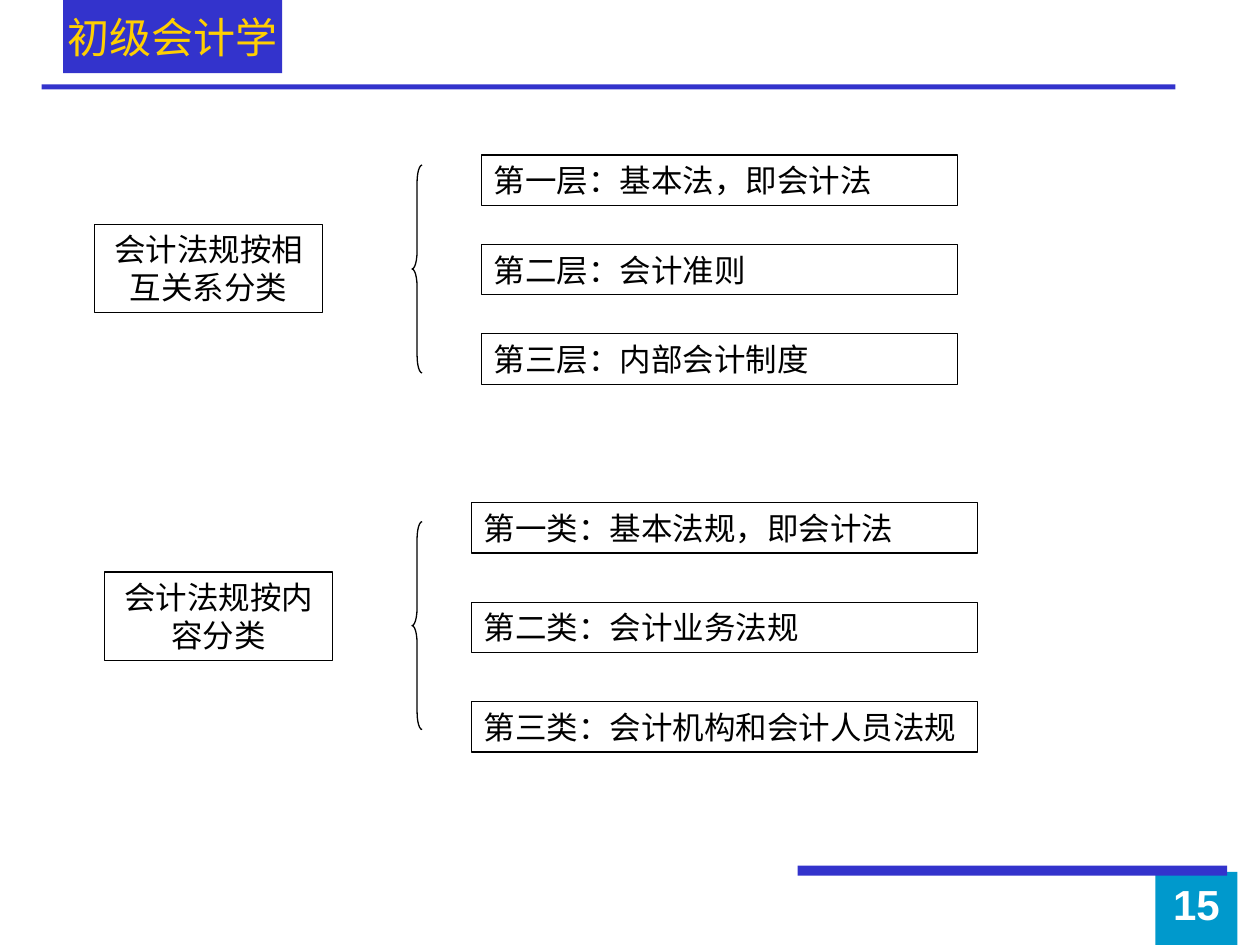
from pptx import Presentation
from pptx.dml.color import RGBColor
from pptx.enum.shapes import MSO_SHAPE as Preset
from pptx.enum.text import MSO_ANCHOR as Anchor, MSO_AUTO_SIZE as AutoSize, PP_ALIGN as Align
from pptx.oxml.ns import qn
from pptx.util import Inches, Pt

WIDTH, HEIGHT = 10, 7.5
COLORS = {"bar": "3333CC", "number": "0099CC", "title": "FFCF01",
          "ink": "000000", "paper": "FFFFFF"}
TITLE_FONT, BODY_FONT, NUMBER_FONT = "Noto Sans CJK SC", "Karla", "Arial"
ROW_HEIGHT = 0.4
BRACE_WIDTH, BRACE_HEIGHT = 0.08, 1.65


def color(name):
    return RGBColor.from_string(COLORS[name])


def place(shape, left, top, width, height):
    shape.left, shape.top = Inches(left), Inches(top)
    shape.width, shape.height = Inches(width), Inches(height)


def add_preset(page, preset, area, fill=None, line=None):
    shape = page.shapes.add_shape(preset, *map(Inches, area))
    shape.shadow.inherit = False
    if fill:
        shape.fill.solid()
        shape.fill.fore_color.rgb = color(fill)
    else:
        shape.fill.background()
    if line:
        shape.line.color.rgb = color(line)
        shape.line.width = Pt(0.75)
    else:
        shape.line.fill.background()
    return shape


def write(shape, text, font, size, ink, align=Align.LEFT, anchor=Anchor.TOP,
          side_inset=0.1, bold=False):
    frame = shape.text_frame
    frame.auto_size = AutoSize.NONE
    frame.word_wrap = True
    frame.vertical_anchor = anchor
    frame.margin_left = frame.margin_right = Inches(side_inset)
    para = frame.paragraphs[0]
    para.alignment = align
    span = para.add_run()
    span.text = text
    span.font.name, span.font.size, span.font.bold = font, Pt(size), bold
    span.font.color.rgb = color(ink)
    east_asian = span.font._element.makeelement(qn("a:ea"), {"typeface": font})
    span.font._element.find(qn("a:latin")).addnext(east_asian)


def add_header(page, left, top, width, height):
    title = page.shapes.title
    place(title, left + 0.17, top, 1.74, 0.58)
    title.fill.solid()
    title.fill.fore_color.rgb = color("bar")
    write(title, "初级会计学", TITLE_FONT, 24, "title", Align.CENTER,
          Anchor.MIDDLE, side_inset=0)
    rule = 0.04
    add_preset(page, Preset.RECTANGLE, (left, top + height - rule, width, rule), "bar")


def add_footer(page, left, top, width, height):
    side, drop = 0.65, 0.05
    number = add_preset(page, Preset.RECTANGLE,
                        (left + width - side, top + drop, side, height - drop), "number")
    write(number, "15", NUMBER_FONT, 24, "paper", Align.CENTER, bold=True)
    add_preset(page, Preset.RECTANGLE, (left, top, width - 0.08, 0.08), "bar")


def add_classification(page, heading, items, heading_at, brace_at, list_at, list_width, pitch):
    """Draw a heading, a brace and equally spaced boxes; each *_at is (left, top)."""
    box = add_preset(page, Preset.RECTANGLE, (*heading_at, 1.81, 0.7), line="ink")
    write(box, heading, BODY_FONT, 18, "ink", Align.CENTER)
    left, top = list_at
    for row, item in enumerate(items):
        area = (left, top + row * pitch, list_width, ROW_HEIGHT)
        box = add_preset(page, Preset.RECTANGLE, area, line="ink")
        write(box, item, BODY_FONT, 18, "ink")
    brace = add_preset(page, Preset.LEFT_BRACE,
                       (*brace_at, BRACE_WIDTH, BRACE_HEIGHT), line="ink")
    brace.adjustments[0] = 1.72


def main():
    deck = Presentation()
    deck.slide_width, deck.slide_height = Inches(WIDTH), Inches(HEIGHT)
    page = deck.slides.add_slide(deck.slide_layouts[5])
    add_header(page, 0.33, 0, 9, 0.71)
    add_footer(page, 6.33, 6.87, 3.49, HEIGHT - 6.87)
    add_classification(
        page, "会计法规按相互关系分类",
        ["第一层：基本法，即会计法", "第二层：会计准则", "第三层：内部会计制度"],
        heading_at=(0.75, 1.78), brace_at=(3.27, 1.31),
        list_at=(3.82, 1.23), list_width=3.78, pitch=0.71)
    add_classification(
        page, "会计法规按内容分类",
        ["第一类：基本法规，即会计法", "第二类：会计业务法规", "第三类：会计机构和会计人员法规"],
        heading_at=(0.83, 4.54), brace_at=(3.27, 4.14),
        list_at=(3.74, 3.99), list_width=4.02, pitch=0.79)
    deck.save("out.pptx")


if __name__ == "__main__":
    main()
